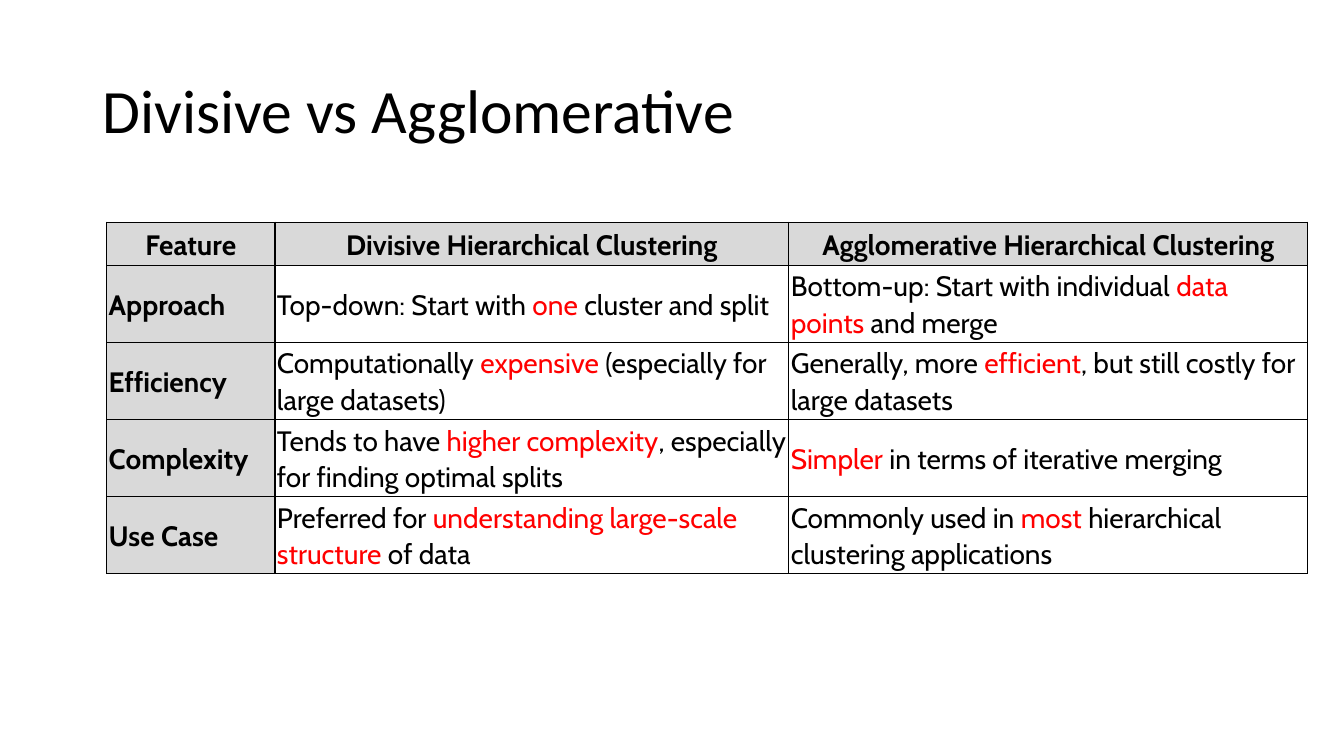
"""Build a slide with a table that compares divisive and agglomerative clustering."""
from lxml import etree
from pptx import Presentation
from pptx import util as u
from pptx.dml import color
from pptx.enum import text
from pptx.oxml import ns

COLORS = {"text": "000000", "accent": "FF0000", "label": "D9D9D9", "border": "000000"}
COLUMN_WIDTHS = [4.24, 12.95, 13.08]
HEADER_HEIGHT, ROW_HEIGHT = 1.09, 1.91
CELL_MARGIN = 0.05
ROWS = [
    ["Feature", "Divisive Hierarchical Clustering", "Agglomerative Hierarchical Clustering"],
    ["Approach", "Top-down: Start with |one| cluster and split",
     "Bottom-up: Start with individual |data points| and merge"],
    ["Efficiency", "Computationally |expensive| (especially for large datasets)",
     "Generally, more |efficient|, but still costly for large datasets"],
    ["Complexity", "Tends to have |higher complexity|, especially for finding optimal splits",
     "|Simpler| in terms of iterative merging"],
    ["Use Case", "Preferred for |understanding large-scale structure| of data",
     "Commonly used in |most| hierarchical clustering applications"],
]


def write_text(frame, content, font="Cabin", size=20, bold=False,
               align=text.PP_ALIGN.LEFT, line_spacing=1.07, space_after=8):
    """Write one paragraph, with the parts between bars in the accent colour."""
    frame.word_wrap = True
    paragraph = frame.paragraphs[0]
    paragraph.alignment = align
    paragraph.line_spacing = line_spacing
    paragraph.space_after = u.Pt(space_after)
    for index, part in enumerate(content.split("|")):
        if part:
            run = paragraph.add_run()
            run.text = part
            run.font.name = font
            run.font.size = u.Pt(size)
            run.font.bold = bold
            shade = COLORS["accent" if index % 2 else "text"]
            run.font.color.rgb = color.RGBColor.from_string(shade)


def add_borders(cell, width=1):
    """Draw a solid line on all four sides of a cell."""
    properties = cell._tc.get_or_add_tcPr()
    for index, side in enumerate(("a:lnL", "a:lnR", "a:lnT", "a:lnB")):
        line = etree.Element(ns.qn(side), w=str(u.Pt(width)))
        fill = etree.SubElement(line, ns.qn("a:solidFill"))
        etree.SubElement(fill, ns.qn("a:srgbClr"), val=COLORS["border"])
        properties.insert(index, line)


def format_cell(cell, content, is_header, is_label):
    """Fill, frame and write one table cell."""
    cell.margin_left = cell.margin_right = u.Cm(CELL_MARGIN)
    cell.margin_top = cell.margin_bottom = u.Cm(CELL_MARGIN)
    cell.vertical_anchor = text.MSO_ANCHOR.MIDDLE
    if is_header or is_label:
        cell.fill.solid()
        cell.fill.fore_color.rgb = color.RGBColor.from_string(COLORS["label"])
    else:
        cell.fill.background()
    add_borders(cell)
    align = text.PP_ALIGN.CENTER if is_header else text.PP_ALIGN.LEFT
    write_text(cell.text_frame, content, bold=is_header or is_label, align=align)


def add_title(slide, content):
    """Place and write the slide title."""
    title = slide.shapes.title
    title.left, title.top = u.Cm(2.33), u.Cm(1.01)
    title.width, title.height = u.Cm(29.21), u.Cm(3.68)
    title.text_frame.vertical_anchor = text.MSO_ANCHOR.MIDDLE
    write_text(title.text_frame, content, font="Calibri", size=44,
               line_spacing=0.9, space_after=0)


def add_comparison(slide):
    """Add the table of features."""
    heights = [HEADER_HEIGHT] + [ROW_HEIGHT] * (len(ROWS) - 1)
    frame = slide.shapes.add_table(len(ROWS), len(COLUMN_WIDTHS), u.Cm(2.69), u.Cm(5.6),
                                   u.Cm(sum(COLUMN_WIDTHS)), u.Cm(sum(heights)))
    table = frame.table
    table.horz_banding = False
    for column, width in zip(table.columns, COLUMN_WIDTHS):
        column.width = u.Cm(width)
    for row_index, (row, height) in enumerate(zip(table.rows, heights)):
        row.height = u.Cm(height)
        for column_index, content in enumerate(ROWS[row_index]):
            format_cell(table.cell(row_index, column_index), content,
                        is_header=row_index == 0, is_label=column_index == 0)


def main():
    """Create the presentation and save it."""
    presentation = Presentation()
    presentation.slide_width, presentation.slide_height = u.Cm(33.87), u.Cm(19.05)
    slide = presentation.slides.add_slide(presentation.slide_layouts[5])
    add_title(slide, "Divisive vs Agglomerative")
    add_comparison(slide)
    presentation.save("out.pptx")


if __name__ == "__main__":
    main()
